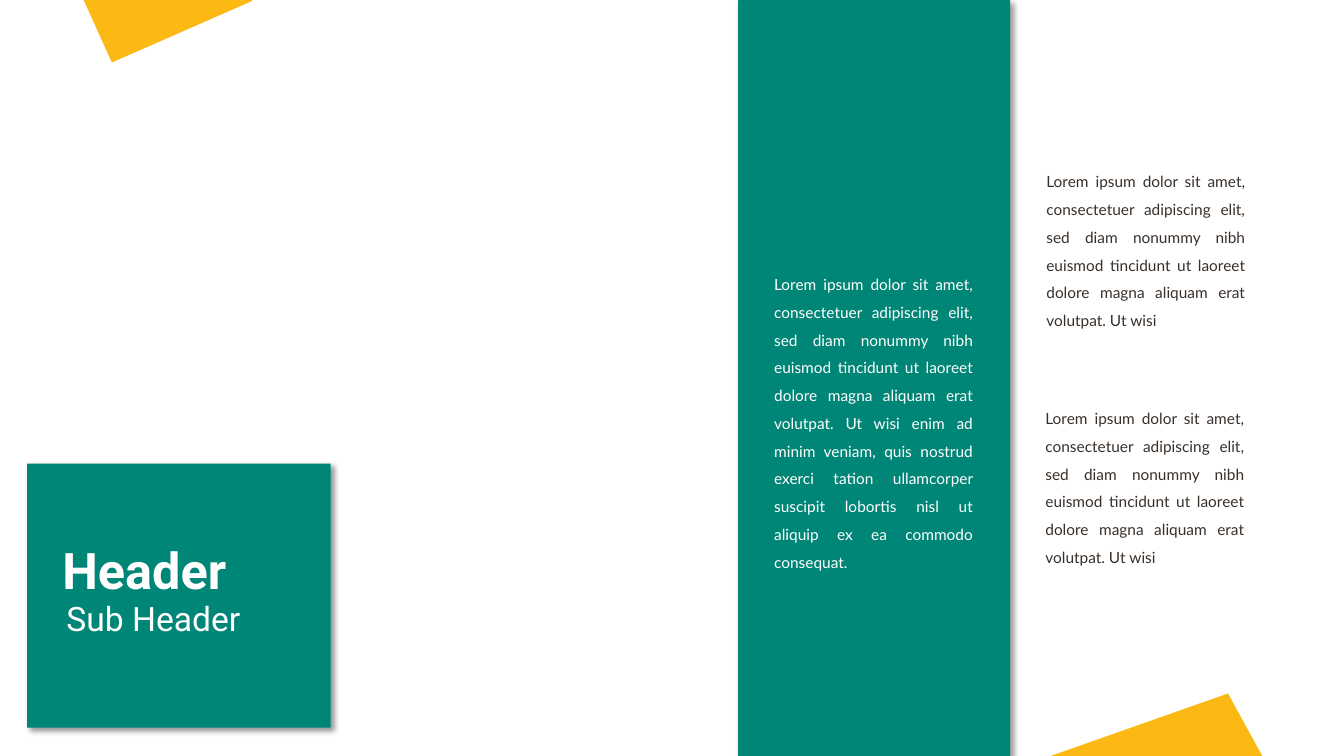
import pptx
import pptx.dml.color
import pptx.enum.shapes
import pptx.enum.text
import pptx.oxml.ns
import pptx.util
import lxml.etree

RGBColor = pptx.dml.color.RGBColor
TEAL = RGBColor(0x00, 0x86, 0x76)
YELLOW = RGBColor(0xFD, 0xB9, 0x13)
WHITE = RGBColor(0xFF, 0xFF, 0xFF)
BROWN = RGBColor(0x39, 0x30, 0x2A)

PX = 9144  # EMU in one px, 100 px to the inch
WIDTH, HEIGHT = 1333, 750

SHORT_TEXT = (
    "Lorem ipsum dolor sit amet, consectetuer adipiscing elit, sed diam nonummy "
    "nibh euismod tincidunt ut laoreet dolore magna aliquam erat volutpat. Ut wisi"
)
LONG_TEXT = SHORT_TEXT + (
    " enim ad minim veniam, quis nostrud exerci tation ullamcorper suscipit "
    "lobortis nisl ut aliquip ex ea commodo consequat. "
)


def add_text(slide, box, text, *, size, color, font="Lato", bold=False,
             align=None, line_spacing=None):
    shape = slide.shapes.add_textbox(*(length * PX for length in box))
    frame = shape.text_frame
    frame.word_wrap = True
    frame.auto_size = pptx.enum.text.MSO_AUTO_SIZE.SHAPE_TO_FIT_TEXT
    paragraph = frame.paragraphs[0]
    paragraph.alignment = align
    paragraph.line_spacing = line_spacing
    run = paragraph.add_run()
    run.text = text
    run.font.name = font
    run.font.size = pptx.util.Pt(size)
    run.font.bold = bold
    run.font.color.rgb = color


def add_body(slide, box, text, color):
    add_text(slide, box, text, size=11, color=color, line_spacing=1.5,
             align=pptx.enum.text.PP_ALIGN.JUSTIFY)


def paint(shape, color):
    shape.fill.solid()
    shape.fill.fore_color.rgb = color
    shape.line.fill.background()
    shape.shadow.inherit = False


def add_panel(slide, box):
    """Teal rectangle with a soft shadow to the lower right."""
    panel = slide.shapes.add_shape(
        pptx.enum.shapes.MSO_SHAPE.RECTANGLE, *(length * PX for length in box))
    paint(panel, TEAL)
    qn = pptx.oxml.ns.qn
    effects = panel._element.spPr.find(qn("a:effectLst"))
    shadow = lxml.etree.SubElement(
        effects, qn("a:outerShdw"), blurRad=str(pptx.util.Pt(4)),
        dist=str(pptx.util.Pt(3)), dir="2700000", algn="tl", rotWithShape="0")
    black = lxml.etree.SubElement(shadow, qn("a:srgbClr"), val="000000")
    lxml.etree.SubElement(black, qn("a:alpha"), val="40000")


def add_corner(slide, left, top, points):
    """Yellow polygon whose points are offsets from its box's top left."""
    start, *rest = [(left + x, top + y) for x, y in points]
    builder = slide.shapes.build_freeform(*start, scale=PX)
    builder.add_line_segments(rest, close=True)
    paint(builder.convert_to_shape(), YELLOW)


def add_header_card(slide, left, top, width, height):
    add_panel(slide, (left, top, width, height))
    add_text(slide, (left + 25, top + 70, 233, 71), "Header",
             size=36, color=WHITE, font="Roboto", bold=True)
    add_text(slide, (left + 29, top + 128, 229, 50), "Sub Header",
             size=24, color=WHITE, font="Roboto")


def add_text_band(slide, left, top, width, height):
    add_panel(slide, (left, top, width, height))
    add_body(slide, (left + 26, top + 259, 217, 340), LONG_TEXT, WHITE)


def add_side_column(slide, left, top, width):
    for x, y in ((1, 0), (0, 235)):
        add_body(slide, (left + x, top + y, width, 173), SHORT_TEXT, BROWN)


def main():
    presentation = pptx.Presentation()
    presentation.slide_width = WIDTH * PX
    presentation.slide_height = HEIGHT * PX
    slide = presentation.slides.add_slide(presentation.slide_layouts[6])
    add_corner(slide, 1042, 688, [(176, 0), (0, 62), (210, 62)])
    add_corner(slide, 83, 0, [(28, 62), (167, 1), (167, 0), (0, 0)])
    add_header_card(slide, 27, 460, 301, 262)
    add_text_band(slide, 732, 0, 270, HEIGHT)
    add_side_column(slide, 1027, 157, 217)
    presentation.save("out.pptx")


if __name__ == "__main__":
    main()
